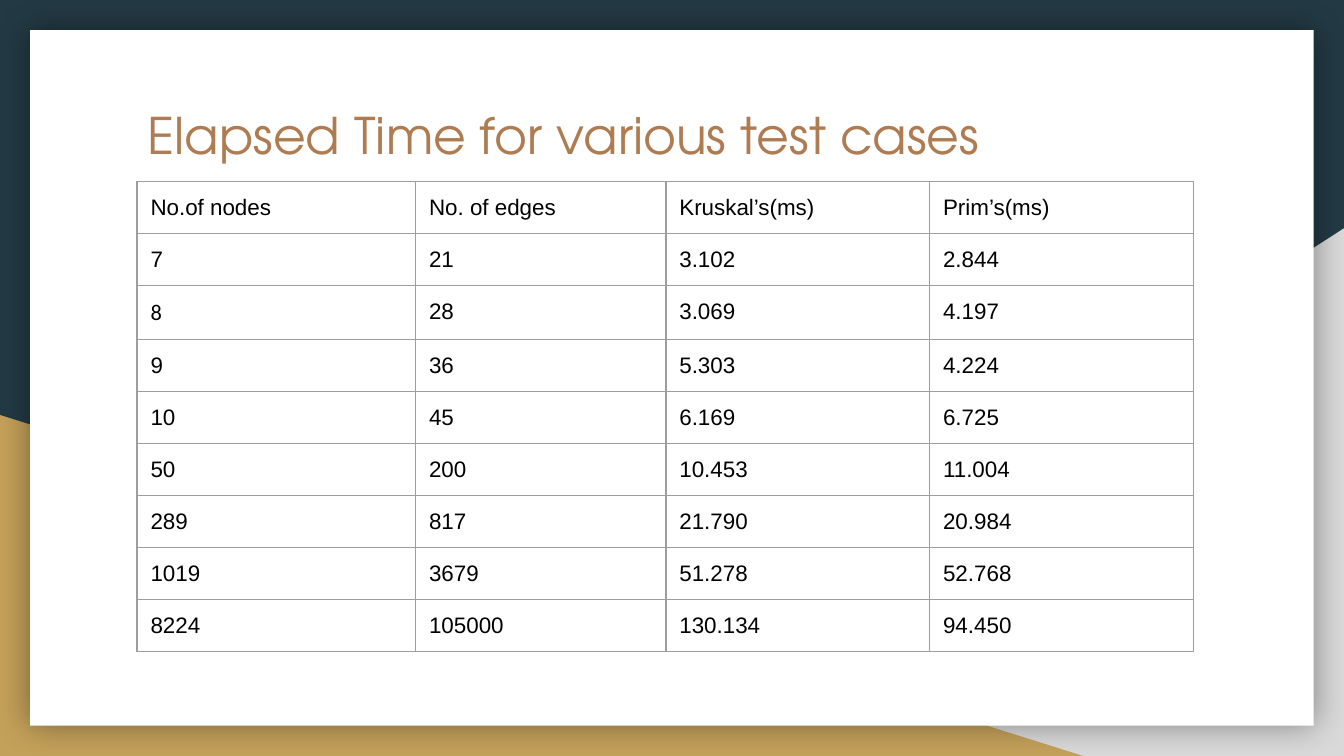
from lxml.etree import SubElement
from pptx import Presentation
from pptx.dml.color import RGBColor
from pptx.enum.shapes import MSO_SHAPE
from pptx.enum.text import MSO_ANCHOR, MSO_AUTO_SIZE, PP_ALIGN
from pptx.oxml import parse_xml
from pptx.oxml.ns import nsdecls, qn
from pptx.util import Inches, Pt

WIDTH = 10
HEIGHT = WIDTH * 9 / 16
COLORS = {
    "background": "233A44", "gray": "D9D9D9", "gold": "C4A15A", "card": "FFFFFF",
    "title": "AF7B51", "text": "000000", "border": "9E9E9E",
}
TITLE_FONT = {"name": "TeX Gyre Adventor", "size": Pt(27), "bold": False}
CELL_FONT = {"name": "Arial", "size": Pt(12), "bold": False}
COLUMN_WIDTHS = [2.07, 1.86, 1.96, 1.96]
ROWS = [
    ["No.of nodes", "No. of edges", "Kruskal’s(ms)", "Prim’s(ms)"],
    ["7", "21", "3.102", "2.844"],
    ["8", "28", "3.069", "4.197"],
    ["9", "36", "5.303", "4.224"],
    ["10", "45", "6.169", "6.725"],
    ["50", "200", "10.453", "11.004"],
    ["289", "817", "21.790", "20.984"],
    ["1019", "3679", "51.278", "52.768"],
    ["8224", "105000", "130.134", "94.450"],
]
CALIBRI_CELL = (2, 0)


def rgb(name):
    return RGBColor.from_string(COLORS[name])


def format_font(font, values, color):
    for attribute, value in values.items():
        setattr(font, attribute, value)
    font.color.rgb = rgb(color)


def add_panel(slide, kind, box, color):
    shape = slide.shapes.add_shape(kind, *map(Inches, box))
    shape.shadow.inherit = False
    shape.fill.solid()
    shape.fill.fore_color.rgb = rgb(color)
    shape.line.fill.background()
    return shape


def add_glow(shape):
    """Cast a soft, centred shadow around the shape."""
    effects = shape._element.spPr.find(qn("a:effectLst"))
    effects.append(parse_xml(
        f'<a:outerShdw {nsdecls("a")} blurRad="{Pt(18)}" dist="0" algn="ctr" '
        'rotWithShape="0"><a:srgbClr val="000000"><a:alpha val="40000"/>'
        '</a:srgbClr></a:outerShdw>'))


def add_backdrop(slide, width, height):
    slide.background.fill.solid()
    slide.background.fill.fore_color.rgb = rgb("background")
    triangle = MSO_SHAPE.RIGHT_TRIANGLE
    gray = add_panel(slide, triangle,
                     (0.392 * width, 0.302 * height, 0.608 * width, 0.698 * height), "gray")
    gray._element.spPr.find(qn("a:xfrm")).set("flipH", "1")
    add_panel(slide, triangle,
              (0, 0.549 * height, 0.806 * width, 0.451 * height), "gold")
    margin = 0.0225 * width
    card = add_panel(slide, MSO_SHAPE.RECTANGLE,
                     (margin, margin, width - 2 * margin, height - 2 * margin), "card")
    add_glow(card)


def place_title(slide, box, text):
    title = slide.shapes.title
    title.left, title.top, title.width, title.height = map(Inches, box)
    frame = title.text_frame
    frame.text = text
    values = {
        "auto_size": MSO_AUTO_SIZE.NONE, "word_wrap": True,
        "vertical_anchor": MSO_ANCHOR.TOP, "margin_left": Inches(0.2),
        "margin_right": Inches(0.1), "margin_top": Inches(0.1),
        "margin_bottom": Inches(0.1),
    }
    for attribute, value in values.items():
        setattr(frame, attribute, value)
    paragraph = frame.paragraphs[0]
    paragraph.alignment = PP_ALIGN.LEFT
    format_font(paragraph.runs[0].font, TITLE_FONT, "title")


def add_borders(cell):
    """Outline all four sides; borders precede the fill in the cell properties."""
    properties = cell._tc.get_or_add_tcPr()
    for index, side in enumerate(("a:lnL", "a:lnR", "a:lnT", "a:lnB")):
        line = SubElement(properties, qn(side), w=str(Pt(0.75)))
        fill = SubElement(line, qn("a:solidFill"))
        SubElement(fill, qn("a:srgbClr"), val=COLORS["border"])
        properties.insert(index, line)


def format_cell(cell, text, font_name):
    cell.text = text
    cell.fill.background()
    for side in ("left", "right", "top", "bottom"):
        setattr(cell, f"margin_{side}", Inches(0.1))
    font = cell.text_frame.paragraphs[0].runs[0].font
    format_font(font, CELL_FONT | {"name": font_name}, "text")
    add_borders(cell)


def add_timing_table(slide, box):
    table = slide.shapes.add_table(len(ROWS), len(COLUMN_WIDTHS), *map(Inches, box)).table
    table.first_row = table.horz_banding = False
    for column, share in zip(table.columns, COLUMN_WIDTHS):
        column.width = Inches(box[2] * share / sum(COLUMN_WIDTHS))
    for row_index, values in enumerate(ROWS):
        table.rows[row_index].height = Inches(0.37)
        for column_index, text in enumerate(values):
            position = (row_index, column_index)
            font_name = "Calibri" if position == CALIBRI_CELL else "Arial"
            format_cell(table.cell(*position), text, font_name)


def main():
    presentation = Presentation()
    presentation.slide_width, presentation.slide_height = Inches(WIDTH), Inches(HEIGHT)
    slide = presentation.slides.add_slide(presentation.slide_layouts[5])
    add_backdrop(slide, WIDTH, HEIGHT)
    place_title(slide, (0.09 * WIDTH, 0.12 * HEIGHT, 0.814 * WIDTH, 0.103 * HEIGHT),
                "Elapsed Time for various test cases")
    # The title placeholder comes first, so lift it above the backdrop.
    slide.shapes._spTree.append(slide.shapes.title._element)
    add_timing_table(slide, (0.102 * WIDTH, 0.24 * HEIGHT, 0.786 * WIDTH, 0.64 * HEIGHT))
    presentation.save("out.pptx")


if __name__ == "__main__":
    main()
